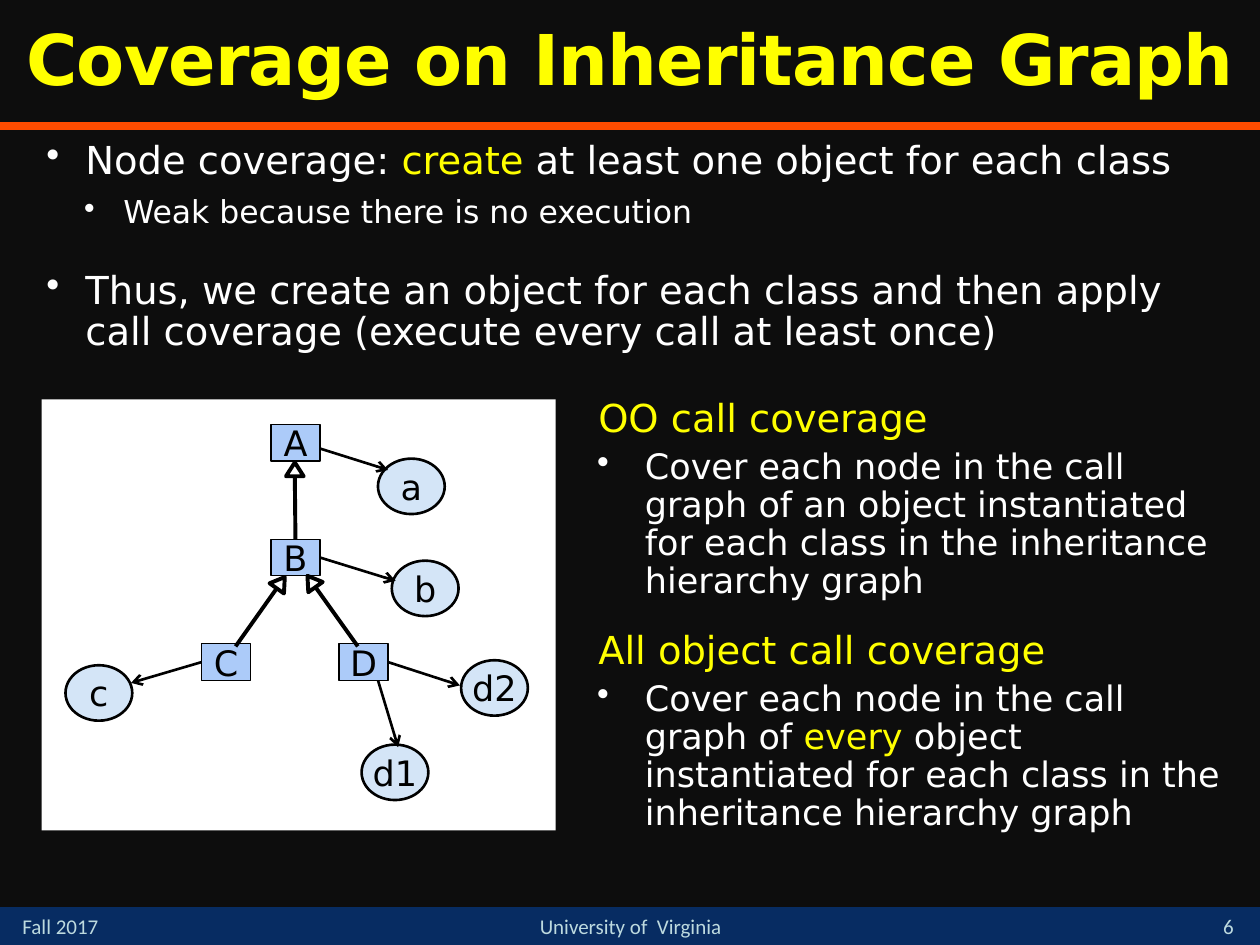
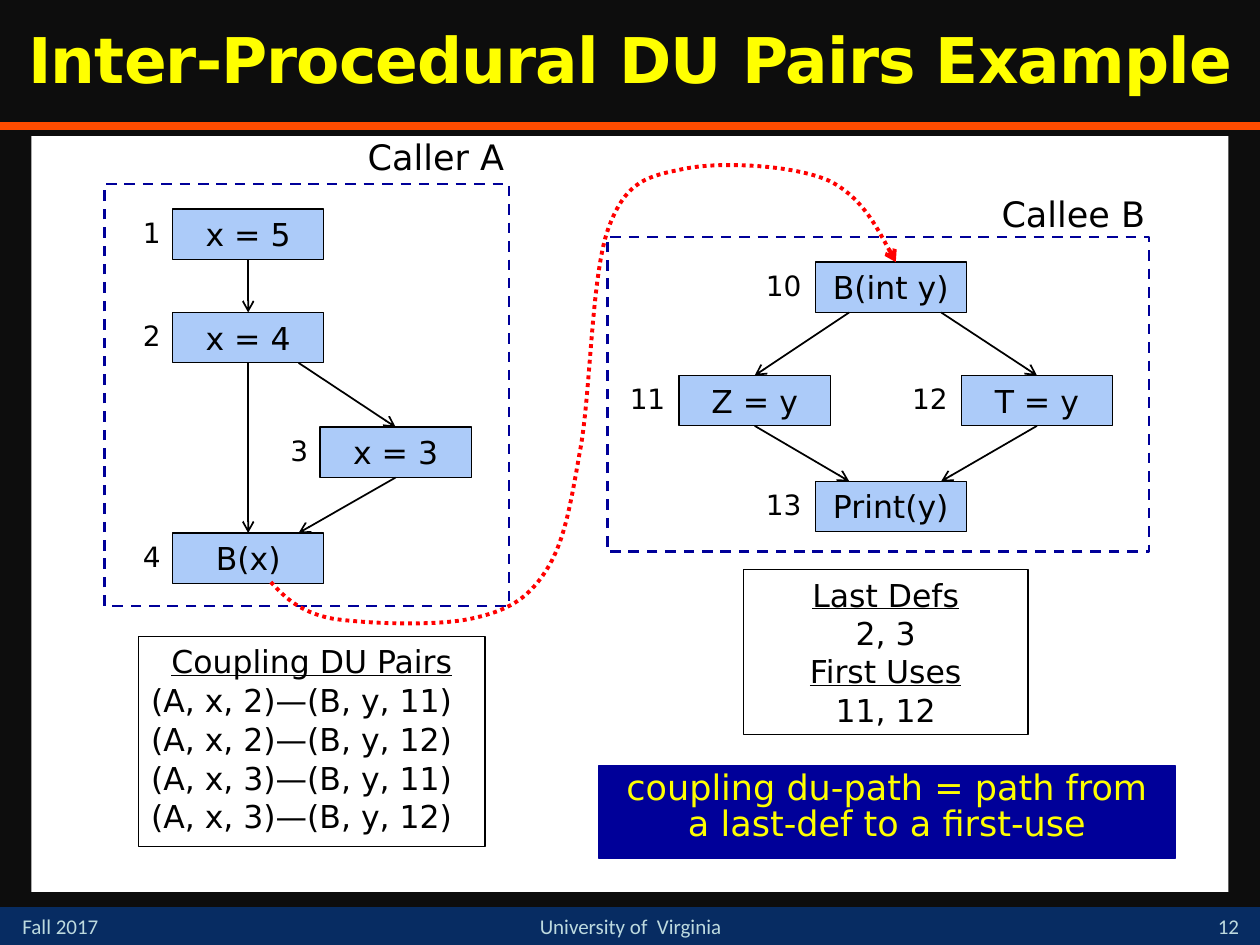
from math import hypot

from lxml.etree import SubElement
from pptx import Presentation
from pptx.dml.color import RGBColor
from pptx.enum.dml import MSO_LINE
from pptx.enum.shapes import MSO_CONNECTOR, MSO_SHAPE
from pptx.enum.text import MSO_ANCHOR, PP_ALIGN
from pptx.oxml.ns import qn
from pptx.util import Inches, Pt

BLACK = RGBColor(0x00, 0x00, 0x00)
WHITE = RGBColor(0xFF, 0xFF, 0xFF)
NIGHT = RGBColor(0x0D, 0x0D, 0x0D)
NAVY = RGBColor(0x07, 0x2C, 0x62)
ORANGE = RGBColor(0xFF, 0x4C, 0x00)
YELLOW = RGBColor(0xFF, 0xFF, 0x00)
PALE = RGBColor(0xBD, 0xDA, 0xDF)
SKY = RGBColor(0xAC, 0xCB, 0xF9)
MIST = RGBColor(0xD4, 0xE5, 0xF7)
BLUE = RGBColor(0x00, 0x00, 0x99)
RED = RGBColor(0xFF, 0x00, 0x00)
FACE = "DejaVu Sans"
TOP, LEFT, BOTTOM, RIGHT = range(4)


def say(para, words, size, hue, face=FACE):
    """Write words in a paragraph; parts between asterisks turn yellow."""
    for rank, part in enumerate(words.split("*")):
        run = para.add_run()
        run.text = part
        run.font.size = Pt(size)
        run.font.name = face
        run.font.color.rgb = YELLOW if rank % 2 else hue


def fill(frame, rows, size, hue, align=PP_ALIGN.CENTER, lead=None, gap=0, face=FACE):
    """Fill a text frame with one paragraph per row."""
    frame.word_wrap = True
    frame.text = "\n" * (len(rows) - 1)
    for rank, (para, words) in enumerate(zip(frame.paragraphs, rows)):
        say(para, words, size, hue, face)
        para.alignment = align
        para.line_spacing = lead
        if rank:
            para.space_before = Pt(gap)


def label(slide, box, words, size, hue, anchor=MSO_ANCHOR.TOP, **style):
    """Add a text box with one line of text."""
    frame = slide.shapes.add_textbox(*map(Inches, box)).text_frame
    frame.vertical_anchor = anchor
    fill(frame, [words], size, hue, **style)
    return frame


def paint(shape, inner, outer=None, width=0.75):
    """Set the fill and outline of a shape."""
    shape.shadow.inherit = False
    if inner is None:
        shape.fill.background()
    else:
        shape.fill.solid()
        shape.fill.fore_color.rgb = inner
    if outer is None:
        shape.line.fill.background()
    else:
        shape.line.color.rgb = outer
        shape.line.width = Pt(width)
    return shape


def block(slide, box, inner, outer=None, width=0.75, kind=MSO_SHAPE.RECTANGLE):
    """Add a preset shape and its colours."""
    shape = slide.shapes.add_shape(kind, *map(Inches, box))
    shape.text_frame.vertical_anchor = MSO_ANCHOR.TOP
    return paint(shape, inner, outer, width)


def point(line):
    """Put an open arrowhead at the end of a line."""
    SubElement(line.line._get_or_add_ln(), qn("a:tailEnd"), type="arrow")


def link(slide, start, end, width=1, hue=BLACK, head=True):
    """Draw a line between two ends, each a point or a shape and its side."""
    line = slide.shapes.add_connector(MSO_CONNECTOR.STRAIGHT, 0, 0, 0, 0)
    if isinstance(start[0], (int, float)):
        line.begin_x, line.begin_y = map(Inches, start)
    else:
        line.begin_connect(*start)
    if isinstance(end[0], (int, float)):
        line.end_x, line.end_y = map(Inches, end)
    else:
        line.end_connect(*end)
    line.line.color.rgb = hue
    line.line.width = Pt(width)
    SubElement(line._element.spPr, qn("a:effectLst"))
    if head:
        point(line)


def outline(slide, dots, close):
    """Build a freeform through dots given in inches."""
    dots = [(Inches(x), Inches(y)) for x, y in dots]
    pen = slide.shapes.build_freeform(*dots[0], scale=1.0)
    pen.add_line_segments(dots[1:], close=close)
    return pen.convert_to_shape()


def base(deck, title, size, page):
    """Add a slide with the shared title, rule and footer."""
    slide = deck.slides.add_slide(deck.slide_layouts[6])
    slide.background.fill.solid()
    slide.background.fill.fore_color.rgb = NIGHT
    block(slide, (0, 7.2, 10, 0.3), NAVY)
    link(slide, (0, 1), (10, 1), 4.5, ORANGE, head=False)
    feet = [
        (0.08, 1.17, "Fall 2017", PP_ALIGN.LEFT),
        (3.67, 2.67, "University of  Virginia", PP_ALIGN.CENTER),
        (9.5, 0.5, str(page), PP_ALIGN.CENTER),
    ]
    for left, width, words, align in feet:
        label(slide, (left, 7.2, width, 0.3), words, 12, PALE,
              MSO_ANCHOR.BOTTOM, align=align, face="Calibri")
    frame = label(slide, (0, 0, 10, 1), title, size, YELLOW, MSO_ANCHOR.MIDDLE, lead=0.9)
    font = frame.paragraphs[0].runs[0].font
    font.bold = True
    font._element.set("spc", "-50")
    return slide


def points(slide, box, rows, after=0):
    """Add a list; each row has words, size, colour, indent, hang, space, level."""
    frame = slide.shapes.add_textbox(*map(Inches, box)).text_frame
    frame.word_wrap = True
    frame.text = "\n" * (len(rows) - 1)
    for rank, (para, row) in enumerate(zip(frame.paragraphs, rows)):
        words, size, hue, indent, hang, before, level = row
        props = para._p.get_or_add_pPr()
        props.set("marL", str(Inches(indent)))
        props.set("indent", str(-Inches(hang)))
        if hang:
            tint = SubElement(props, qn("a:buClr"))
            SubElement(tint, qn("a:srgbClr"), val=str(WHITE))
            SubElement(props, qn("a:buChar"), char="•")
        para.level = level
        para.line_spacing = 0.9
        para.space_after = Pt(after)
        if rank:
            para.space_before = Pt(before)
        say(para, words, size, hue)


def rule(slide, top, height, title, words):
    """Add a coverage rule: a yellow heading and one bullet."""
    points(slide, (4.63, top, 5.27, height), [
        (title, 22, YELLOW, 0.02, 0, 0, 0),
        (words, 20, WHITE, 0.39, 0.38, 5, 0),
    ])


def heir(slide, start, foot, tip):
    """Draw an inheritance arrow with a hollow head from start to tip."""
    dx, dy = tip[0] - foot[0], tip[1] - foot[1]
    span = hypot(dx, dy)
    dx, dy = dx / span, dy / span
    neck = (tip[0] - 0.11 * dx, tip[1] - 0.11 * dy)
    link(slide, start, neck, 2.25, head=False)
    wings = [(neck[0] - side * dy, neck[1] + side * dx) for side in (0.07, -0.07)]
    paint(outline(slide, [tip, *wings], True), WHITE, BLACK, 2.25)


def tree(slide, left, top):
    """Draw the class tree and its objects on a white panel."""
    block(slide, (left, top, 4.08, 3.42), WHITE)

    def at(x, y):
        """Shift a point into the panel."""
        return left + x, top + y

    def mark(name, x, y, size, hue, width, kind):
        """Draw one named class or object."""
        shape = block(slide, (*at(x, y), *size), hue, BLACK, width, kind)
        frame = shape.text_frame
        fill(frame, [name], 20, BLACK)
        frame.word_wrap = False
        frame.vertical_anchor = MSO_ANCHOR.MIDDLE
        frame.margin_left = frame.margin_right = 0
        frame.margin_top = frame.margin_bottom = 0
        return shape

    kinds = {"A": (1.82, 0.2), "B": (1.82, 1.11), "C": (1.27, 1.94), "D": (2.36, 1.94)}
    node = {name: mark(name, *spot, (0.39, 0.29), SKY, 0.75, MSO_SHAPE.RECTANGLE)
            for name, spot in kinds.items()}
    things = {"a": (2.67, 0.47), "b": (2.78, 1.28), "d2": (3.33, 2.07),
              "d1": (2.54, 2.74), "c": (0.19, 2.11)}
    for name, spot in things.items():
        mark(name, *spot, (0.53, 0.44), MIST, 1.5, MSO_SHAPE.OVAL)

    heir(slide, (node["B"], TOP), at(2.01, 1.11), at(2.01, 0.5))
    for foot, tip in [((1.54, 1.96), (1.93, 1.41)), ((2.51, 1.96), (2.11, 1.4))]:
        heir(slide, at(*foot), at(*foot), at(*tip))
    for start, end in [
        (at(2.21, 0.39), (2.75, 0.56)),
        ((node["B"], RIGHT), (2.81, 1.44)),
        ((node["C"], LEFT), (0.71, 2.25)),
        ((node["D"], RIGHT), (3.32, 2.27)),
        (at(2.67, 2.23), (2.83, 2.76)),
    ]:
        link(slide, start, at(*end), 1.5)


def step(slide, left, top, words, tag, gap, align):
    """Draw a statement box with its number on the left."""
    shape = block(slide, (left, top, 1.2, 0.4), SKY, BLACK)
    fill(shape.text_frame, [words], 18, BLACK)
    label(slide, (left - gap, top, 0.57, 0.37), tag, 16, BLACK, align=align)
    return shape


def flow(slide, box, title, spot, steps, gap, align):
    """Draw a dashed, titled frame and its numbered statements."""
    left, top = box[:2]
    block(slide, box, None, BLUE, 1.5).line.dash_style = MSO_LINE.DASH
    label(slide, (left + spot[0], top + spot[1], 1.35, 0.4), title, 20, BLACK,
          align=PP_ALIGN.LEFT, lead=0.85)
    return [step(slide, left + x, top + y, words, tag, gap, align)
            for x, y, words, tag in steps]


def caller(slide, left, top):
    """Draw the flow of the calling method."""
    one, two, three, four = flow(
        slide, (left, top, 3.21, 3.35), "Caller A", (1.99, -0.38),
        [(0.54, 0.2, "x = 5", "1"), (0.54, 1.02, "x = 4", "2"),
         (1.71, 1.93, "x = 3", "3"), (0.54, 2.77, "B(x)", "4")],
        0.45, PP_ALIGN.CENTER)
    link(slide, (one, BOTTOM), (two, TOP))
    link(slide, (two, BOTTOM), (four, TOP))
    link(slide, (left + 1.54, top + 1.42), (three, TOP))
    link(slide, (three, BOTTOM), (left + 1.54, top + 2.77))


def callee(slide, left, top):
    """Draw the flow of the called method."""
    nodes = flow(
        slide, (left, top, 4.3, 2.5), "Callee B", (3.03, -0.35),
        [(1.65, 0.2, "B(int y)", "10"), (0.57, 1.1, "Z = y", "11"),
         (2.81, 1.1, "T = y", "12"), (1.65, 1.94, "Print(y)", "13")],
        0.49, PP_ALIGN.LEFT)
    for node, x in zip(nodes[1:3], (1.92, 2.65)):
        link(slide, (left + x, top + 0.6), (node, TOP))
        link(slide, (node, BOTTOM), (left + x, top + 1.94))


def call(slide, left, top):
    """Draw the dotted curve from the call to the called method."""
    dots = [
        (0, 3.31), (0.11, 3.43), (0.23, 3.55), (0.49, 3.6),
        (0.76, 3.64), (1.31, 3.66), (1.59, 3.6), (1.87, 3.54), (2.03, 3.45), (2.17, 3.24),
        (2.32, 3.02), (2.37, 2.75), (2.45, 2.29), (2.54, 1.84), (2.54, 0.88), (2.68, 0.5),
        (2.82, 0.12), (2.99, 0.09), (3.28, 0.03), (3.57, -0.03), (4.14, 0), (4.42, 0.12),
        (4.7, 0.25), (4.96, 0.77), (4.96, 0.77),
    ]
    curve = paint(outline(slide, [(left + x, top + y) for x, y in dots], False),
                  None, RED, 2.25)
    curve.line.dash_style = MSO_LINE.ROUND_DOT
    point(curve)
    track = next(curve._element.iter(qn("a:path")))
    legs = track.findall(qn("a:lnTo"))
    for rank in range(0, len(legs), 3):
        bend = SubElement(track, qn("a:cubicBezTo"))
        for leg in legs[rank:rank + 3]:
            bend.append(leg[0])
            track.remove(leg)


def notes(slide, box, rows, heads, align, gap):
    """Add a framed list whose headings are underlined and centred."""
    frame = block(slide, box, WHITE, BLACK).text_frame
    fill(frame, rows, 18, BLACK, align=align, gap=gap)
    for rank in heads:
        para = frame.paragraphs[rank]
        para.alignment = PP_ALIGN.CENTER
        para.runs[0].font.underline = True


def graph(deck):
    """Build the slide on the inheritance graph."""
    slide = base(deck, "Coverage on Inheritance Graph", 40, 6)
    points(slide, (0.25, 1.07, 9.58, 2.05), [
        ("Node coverage: *create* at least one object for each class",
         22, WHITE, 0.33, 0.31, 0, 0),
        ("Weak because there is no execution", 18, WHITE, 0.63, 0.31, 5, 1),
        ("Thus, we create an object for each class and then apply call coverage "
         "(execute every call at least once)", 22, WHITE, 0.33, 0.31, 20, 0),
    ], after=3)
    tree(slide, 0.33, 3.17)
    rule(slide, 3.12, 2.13, "OO call coverage",
         "Cover each node in the call graph of an object instantiated "
         "for each class in the inheritance hierarchy graph")
    rule(slide, 4.96, 2.08, "All object call coverage",
         "Cover each node in the call graph of *every* object instantiated "
         "for each class in the inheritance hierarchy graph")


def pairs(deck):
    """Build the slide on definition and use pairs."""
    slide = base(deck, "Inter-Procedural DU Pairs Example", 36, 12)
    block(slide, (0.25, 1.08, 9.5, 6), WHITE)
    notes(slide, (5.9, 4.52, 2.26, 1.31), ["Last Defs", "2, 3", "First Uses", "11, 12"],
          (0, 2), PP_ALIGN.CENTER, 0.3)
    combos = [f"(A, x, {start})—(B, y, {end})" for start in (2, 3) for end in (11, 12)]
    notes(slide, (1.1, 5.05, 2.75, 1.67), ["Coupling DU Pairs", *combos],
          (0,), PP_ALIGN.LEFT, 0.5)
    caller(slide, 0.83, 1.46)
    callee(slide, 4.82, 1.88)
    call(slide, 2.15, 1.31)
    banner = block(slide, (4.75, 6.08, 4.58, 0.73), BLUE, BLUE)
    fill(banner.text_frame, ["coupling du-path = path from a last-def to a first-use"],
         20, YELLOW, lead=0.85)


def main():
    """Build and save the deck."""
    deck = Presentation()
    deck.slide_width, deck.slide_height = Inches(10), Inches(7.5)
    graph(deck)
    pairs(deck)
    deck.save("out.pptx")


if __name__ == "__main__":
    main()
